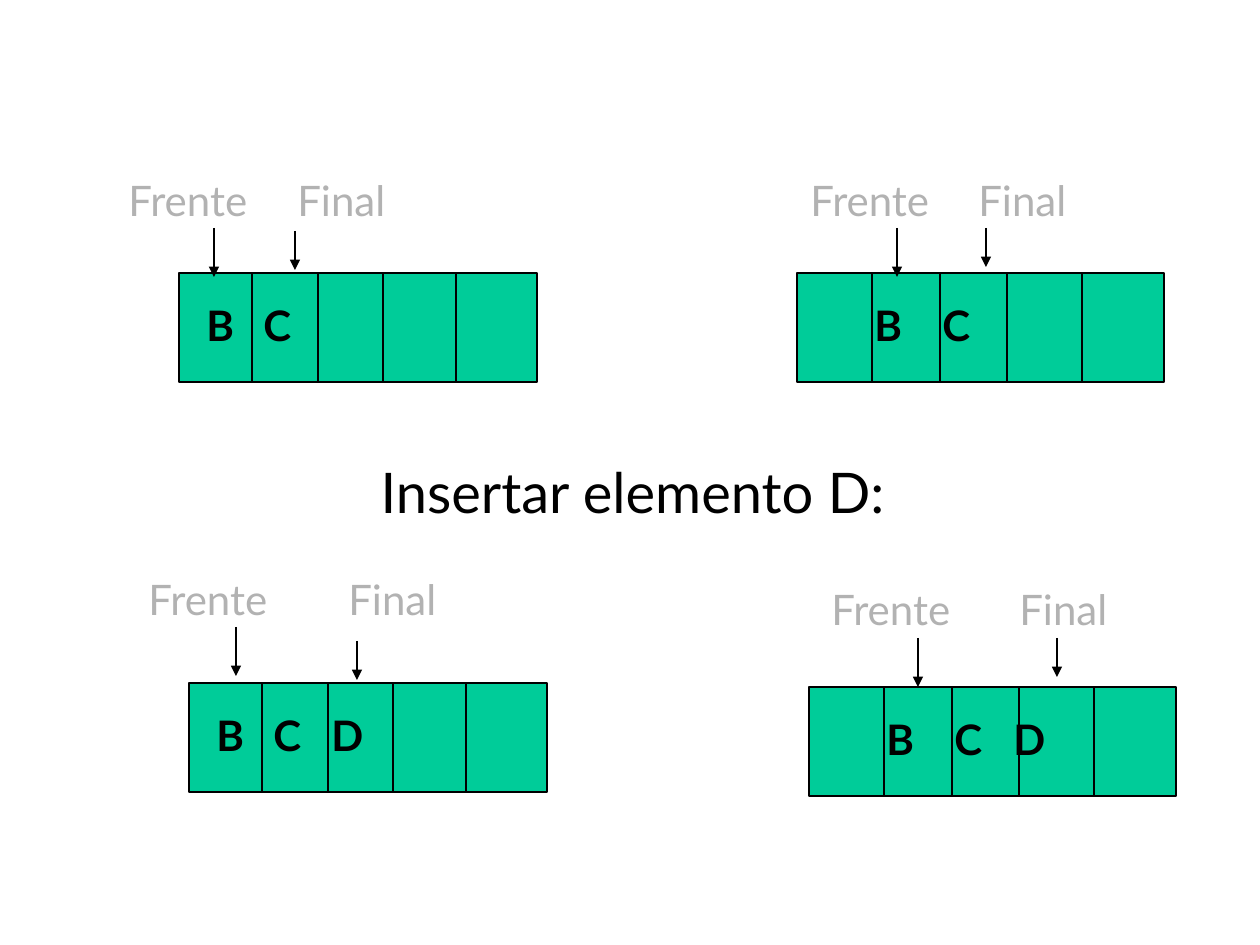
"""Build a slide showing two array queues before and after inserting element D."""
import lxml.etree
import pptx
import pptx.dml.color
import pptx.enum.shapes
import pptx.enum.text
import pptx.oxml.ns
import pptx.util

PX = 914400 // 126
FONT, BLACK, GREY, GREEN = "Lato", "000000", "B2B2B2", "00CC99"

TITLE = ("Insertar elemento D:", 368, 451, 567, 147)
BAR_HEIGHT = 109
PACKED = {"width": 358, "dividers": [73, 139, 204, 277], "tabs": [57, 115]}
SHIFTED = {"width": 367, "dividers": [75, 143, 210, 285], "tabs": [50, 118, 177]}
LABEL_SIZES = {"Frente": (149, 113), "Final": (129, 63)}

QUEUES = [
    {"style": SHIFTED, "at": (809, 687), "letters": "\tB\tC\tD", "label_top": 577,
     "pointers": [("Frente", 819, 918, 638, 687), ("Final", 1007, 1057, 638, 677)]},
    {"style": SHIFTED, "at": (797, 273), "letters": "\tB\tC", "label_top": 168,
     "pointers": [("Frente", 798, 897, 228, 277), ("Final", 966, 986, 228, 267)]},
    {"style": PACKED, "at": (189, 683), "letters": "B\tC\tD", "label_top": 567,
     "pointers": [("Frente", 136, 236, 627, 676), ("Final", 336, 357, 641, 680)]},
    {"style": PACKED, "at": (179, 273), "letters": "B\tC", "label_top": 168,
     "pointers": [("Frente", 116, 214, 228, 277), ("Final", 285, 295, 231, 270)]},
]


def color(value):
    return pptx.dml.color.RGBColor.from_string(value)


def px(*values):
    return [pptx.util.Emu(value * PX) for value in values]


def write(shape, text, size, tint, bold=False):
    frame = shape.text_frame
    frame.word_wrap = True
    frame.auto_size = pptx.enum.text.MSO_AUTO_SIZE.NONE
    frame.vertical_anchor = pptx.enum.text.MSO_ANCHOR.TOP
    paragraph = frame.paragraphs[0]
    paragraph.text = text
    paragraph.alignment = pptx.enum.text.PP_ALIGN.LEFT
    paragraph.line_spacing = 1.0
    font = paragraph.font
    font.name, font.size, font.bold = FONT, pptx.util.Pt(size), bold
    font.color.rgb = color(tint)
    return paragraph


def set_tabs(paragraph, stops):
    properties = paragraph.font._element.getparent()
    tab_list = lxml.etree.Element(pptx.oxml.ns.qn("a:tabLst"))
    for stop in stops:
        lxml.etree.SubElement(tab_list, pptx.oxml.ns.qn("a:tab"), pos=str(stop * PX), algn="l")
    properties.find(pptx.oxml.ns.qn("a:defRPr")).addprevious(tab_list)


def add_vertical(shapes, x, top, bottom, arrow=False):
    connector = shapes.add_connector(
        pptx.enum.shapes.MSO_CONNECTOR.STRAIGHT, *px(x, top, x, bottom))
    connector.line.color.rgb = color(BLACK)
    connector.line.width = pptx.util.Pt(0.75)
    if arrow:
        lxml.etree.SubElement(connector.line._get_or_add_ln(),
                              pptx.oxml.ns.qn("a:tailEnd"), type="triangle")
    lxml.etree.SubElement(connector._element.spPr, pptx.oxml.ns.qn("a:effectLst"))


def add_queue(slide, queue):
    shapes = slide.shapes.add_group_shape().shapes
    style = queue["style"]
    left, top = queue["at"]
    bar = shapes.add_shape(pptx.enum.shapes.MSO_SHAPE.RECTANGLE,
                           *px(left, top, style["width"], BAR_HEIGHT))
    bar.shadow.inherit = False
    bar.fill.solid()
    bar.fill.fore_color.rgb = color(GREEN)
    bar.line.color.rgb = color(BLACK)
    bar.line.width = pptx.util.Pt(0.75)

    letters = shapes.add_textbox(*px(left + 15, top + 20, style["width"] - 15, 63))
    set_tabs(write(letters, queue["letters"], 24, BLACK, bold=True), style["tabs"])
    for offset in style["dividers"]:
        add_vertical(shapes, left + offset, top, top + BAR_HEIGHT)

    for name, label_left, arrow_x, start, end in queue["pointers"]:
        label = shapes.add_textbox(*px(label_left, queue["label_top"], *LABEL_SIZES[name]))
        write(label, name, 24, GREY)
        add_vertical(shapes, arrow_x, start, end, arrow=True)


def main():
    presentation = pptx.Presentation()
    presentation.slide_width, presentation.slide_height = px(1260, 945)
    slide = presentation.slides.add_slide(presentation.slide_layouts[5])
    text, *box = TITLE
    title = slide.shapes.title
    title.left, title.top, title.width, title.height = px(*box)
    write(title, text, 32, BLACK)
    for queue in QUEUES:
        add_queue(slide, queue)
    presentation.save("out.pptx")


if __name__ == "__main__":
    main()
